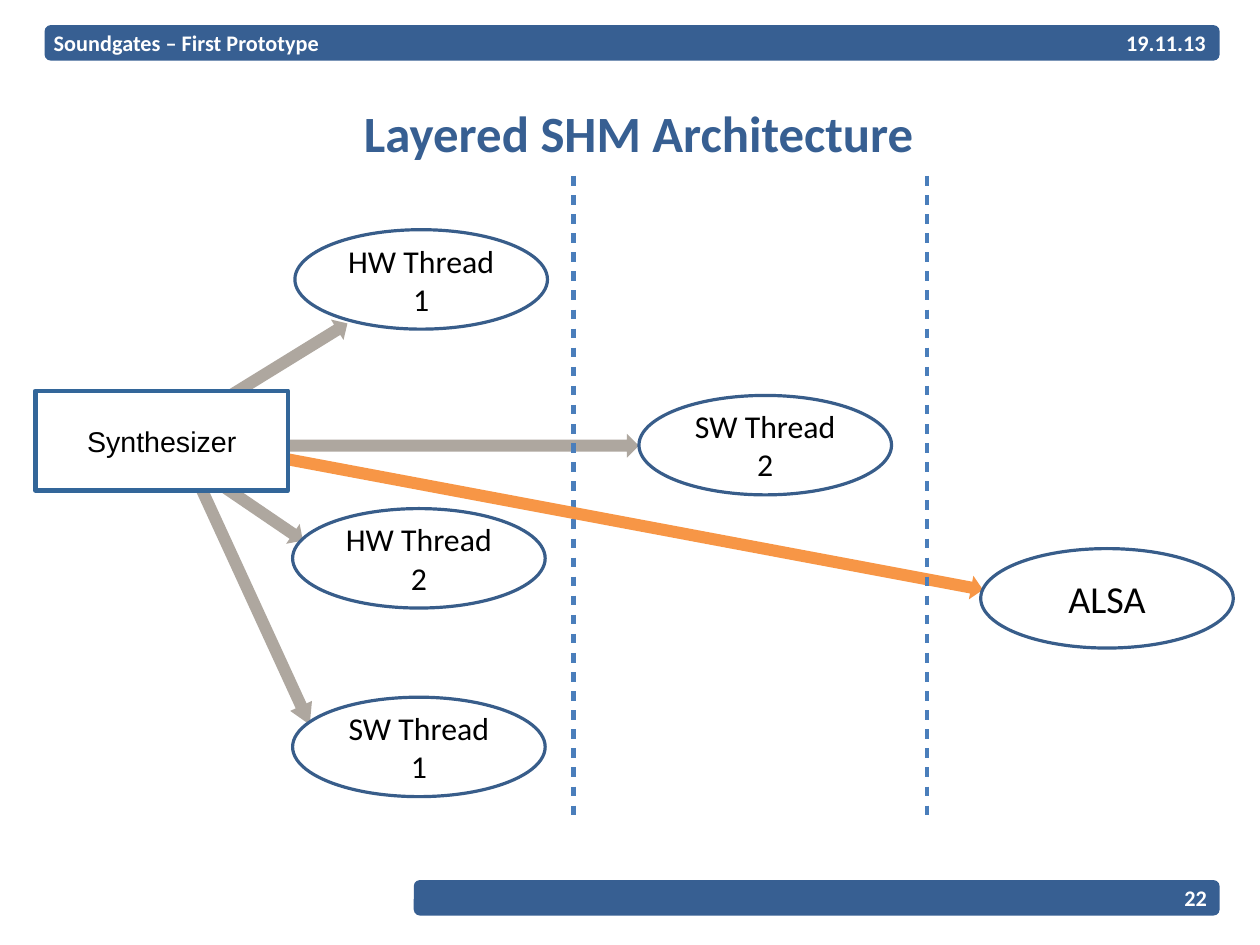
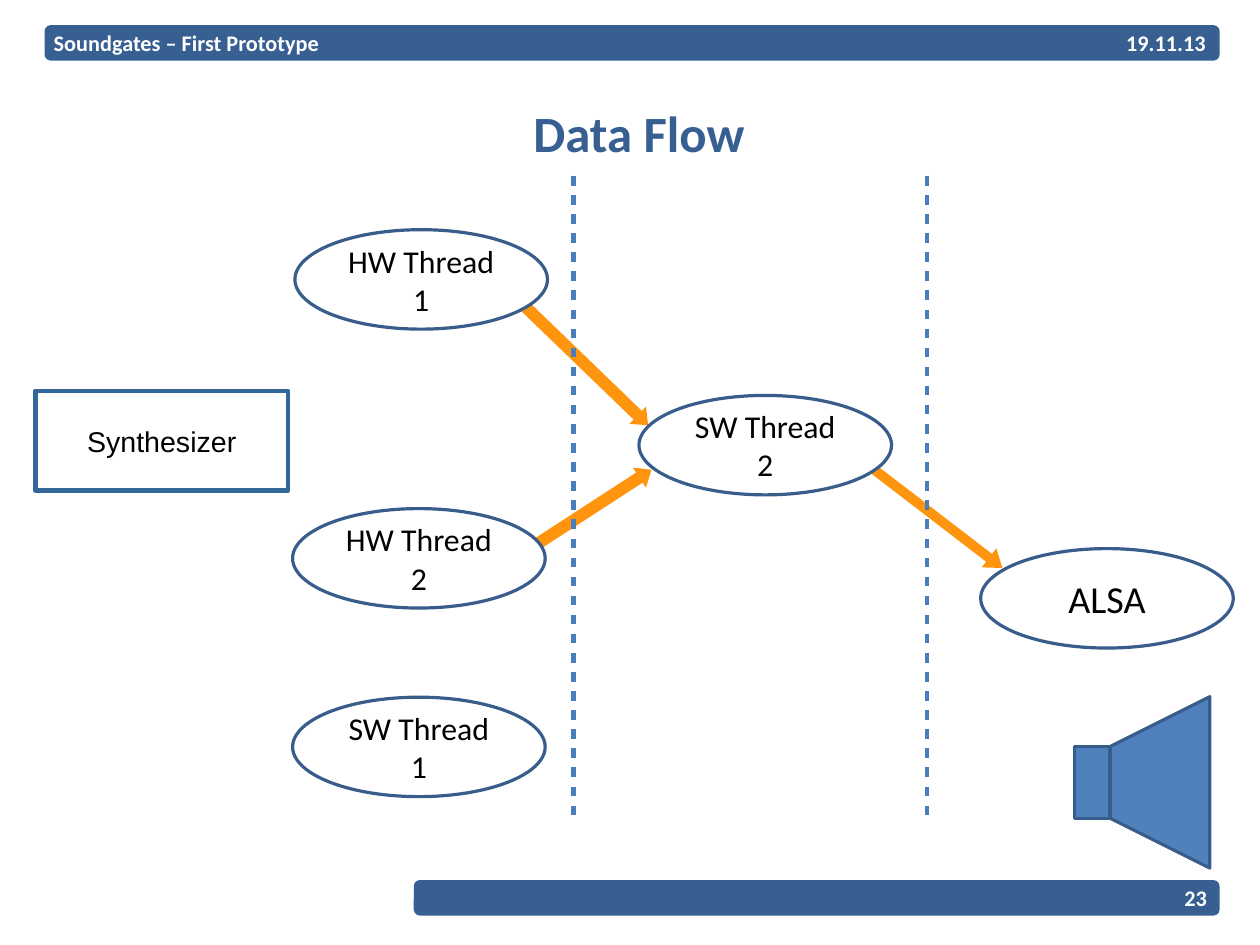
from math import atan2, degrees, hypot

from pptx import Presentation
from pptx.dml.color import RGBColor
from pptx.enum.shapes import MSO_CONNECTOR, MSO_SHAPE
from pptx.enum.text import MSO_ANCHOR, PP_ALIGN
from pptx.oxml.ns import qn
from pptx.util import Cm, Inches, Pt
from lxml.etree import SubElement

NAVY = RGBColor(0x37, 0x5F, 0x92)
OUTLINE = RGBColor(0x38, 0x5D, 0x8A)
STEEL = RGBColor(0x33, 0x66, 0x99)
DIVIDER = RGBColor(0x4A, 0x7E, 0xBB)
SPEAKER = RGBColor(0x4F, 0x81, 0xBD)
GRAY = RGBColor(0xAE, 0xA7, 0x9F)
ORANGE = RGBColor(0xF7, 0x96, 0x46)
AMBER = RGBColor(0xFF, 0x95, 0x0E)
WHITE = RGBColor(0xFF, 0xFF, 0xFF)
BLACK = RGBColor(0, 0, 0)

HEADER = "Soundgates – First Prototype"
DATE = "19.11.13"
BAND_HEIGHT = 0.31
HEADER_TOP, FOOTER_TOP = 0.22, 7.7
BAND_RIGHT = 10.67
NODE_SIZE = (2.21, 0.87)
ARROW_HEIGHT = 0.21
DIVIDER_TOP, DIVIDER_BOTTOM = 1.54, 7.13
LEFT_DIVIDER, RIGHT_DIVIDER = 5.02, 8.11

THREADS = [
    ("HW Thread 1", 2.58, 2.01, 20),
    ("HW Thread 2", 2.56, 4.45, 20),
    ("SW Thread 1", 2.56, 6.1, 20),
    ("SW Thread 2", 5.59, 3.46, 20),
    ("ALSA", 8.58, 4.8, 24),
]

SLIDES = [
    {
        "title": "Layered SHM Architecture",
        "number": "22",
        "color": GRAY,
        "arrows": [
            {"tail": (1.9, 4.22), "tip": (2.65, 4.73)},
            {"tail": (1.92, 3.52), "tip": (3.04, 2.83)},
            {"tail": (1.75, 4.25), "tip": (2.71, 6.34), "head": 0.86},
            {"tail": (2.34, 3.9), "tip": (5.59, 3.9)},
        ],
        "crossing": [{"tail": (2.47, 4.01), "tip": (8.6, 5.16)}],
        "speaker": False,
    },
    {
        "title": "Data Flow",
        "number": "23",
        "color": AMBER,
        "arrows": [
            {"tail": (4.36, 4.98), "tip": (5.7, 4.11), "head": 0.6},
            {"tail": (4.52, 2.61), "tip": (5.67, 3.72), "head": 0.6},
            {"tail": (7.61, 4.08), "tip": (8.77, 4.97), "head": 0.7, "shaft": 0.41},
        ],
        "crossing": [],
        "speaker": True,
    },
]


def write(shape, text, size, color, font="Calibri", bold=False, align=PP_ALIGN.CENTER):
    frame = shape.text_frame
    frame.word_wrap = True
    frame.vertical_anchor = MSO_ANCHOR.MIDDLE
    frame.text = text
    para = frame.paragraphs[0]
    para.alignment = align
    span = para.runs[0].font
    span.name, span.size, span.bold = font, Pt(size), bold
    span.color.rgb = color


def add_label(page, area, text, size, color, align):
    box = page.shapes.add_textbox(*map(Inches, area))
    frame = box.text_frame
    frame.margin_left = frame.margin_right = frame.margin_top = frame.margin_bottom = 0
    write(box, text, size, color, bold=True, align=align)


def add_figure(page, kind, area, fill, line=None, width=2):
    shape = page.shapes.add_shape(kind, *map(Inches, area))
    shape.shadow.inherit = False
    shape.fill.solid()
    shape.fill.fore_color.rgb = fill
    if line is None:
        shape.line.fill.background()
    else:
        shape.line.color.rgb = line
        shape.line.width = Pt(width)
    return shape


def add_arrow(page, color, tail, tip, head=0.5, shaft=0.5):
    across, down = tip[0] - tail[0], tip[1] - tail[1]
    length = hypot(across, down)
    left = (tail[0] + tip[0] - length) / 2
    top = (tail[1] + tip[1] - ARROW_HEIGHT) / 2
    arrow = add_figure(page, MSO_SHAPE.RIGHT_ARROW, (left, top, length, ARROW_HEIGHT), color)
    arrow.adjustments[0], arrow.adjustments[1] = shaft, head
    arrow.rotation = degrees(atan2(down, across))


def add_divider(page, x):
    divider = page.shapes.add_connector(
        MSO_CONNECTOR.STRAIGHT, Inches(x), Inches(DIVIDER_TOP), Inches(x), Inches(DIVIDER_BOTTOM)
    )
    divider.line.color.rgb = DIVIDER
    divider.line.width = Pt(3)
    properties = divider._element.spPr
    dashes = SubElement(properties.find(qn("a:ln")), qn("a:custDash"))
    SubElement(dashes, qn("a:ds"), d="200000", sp="200000")
    SubElement(properties, qn("a:effectLst"))


def add_frame(page, title, number):
    for left, top in ((0.39, HEADER_TOP), (3.62, FOOTER_TOP)):
        area = (left, top, BAND_RIGHT - left, BAND_HEIGHT)
        band = add_figure(page, MSO_SHAPE.ROUNDED_RECTANGLE, area, NAVY)
        band.adjustments[0] = 0.17
    add_label(page, (0.47, HEADER_TOP, 8.58, BAND_HEIGHT), HEADER, 14, WHITE, PP_ALIGN.LEFT)
    add_label(page, (9.21, HEADER_TOP, 1.34, BAND_HEIGHT), DATE, 14, WHITE, PP_ALIGN.RIGHT)
    add_label(page, (9.69, FOOTER_TOP, 0.87, BAND_HEIGHT), number, 14, WHITE, PP_ALIGN.RIGHT)
    add_label(page, (0.55, 0.81, 10.08, 0.69), title, 32, NAVY, PP_ALIGN.CENTER)


def add_nodes(page):
    for name, left, top, size in THREADS:
        node = add_figure(page, MSO_SHAPE.OVAL, (left, top, *NODE_SIZE), WHITE, OUTLINE)
        write(node, name, size, BLACK)
    area = (0.31, 3.42, *NODE_SIZE)
    synthesizer = add_figure(page, MSO_SHAPE.RECTANGLE, area, WHITE, STEEL, 2.89)
    write(synthesizer, "Synthesizer", 18, BLACK, font="Arial")


def add_speaker(page):
    add_figure(page, MSO_SHAPE.RECTANGLE, (9.4, 6.53, 0.31, 0.63), SPEAKER, OUTLINE)
    cone = add_figure(page, MSO_SHAPE.TRAPEZOID, (9.4, 6.41, 1.5, 0.87), SPEAKER, OUTLINE)
    cone.adjustments[0] = 0.5
    cone.rotation = 270


def main():
    deck = Presentation()
    deck.slide_width, deck.slide_height = Cm(28), Cm(21)
    for content in SLIDES:
        page = deck.slides.add_slide(deck.slide_layouts[6])
        add_frame(page, content["title"], content["number"])
        for arrow in content["arrows"]:
            add_arrow(page, content["color"], **arrow)
        add_divider(page, LEFT_DIVIDER)
        for arrow in content["crossing"]:
            add_arrow(page, ORANGE, **arrow)
        add_divider(page, RIGHT_DIVIDER)
        add_nodes(page)
        if content["speaker"]:
            add_speaker(page)
    deck.save("out.pptx")


if __name__ == "__main__":
    main()
